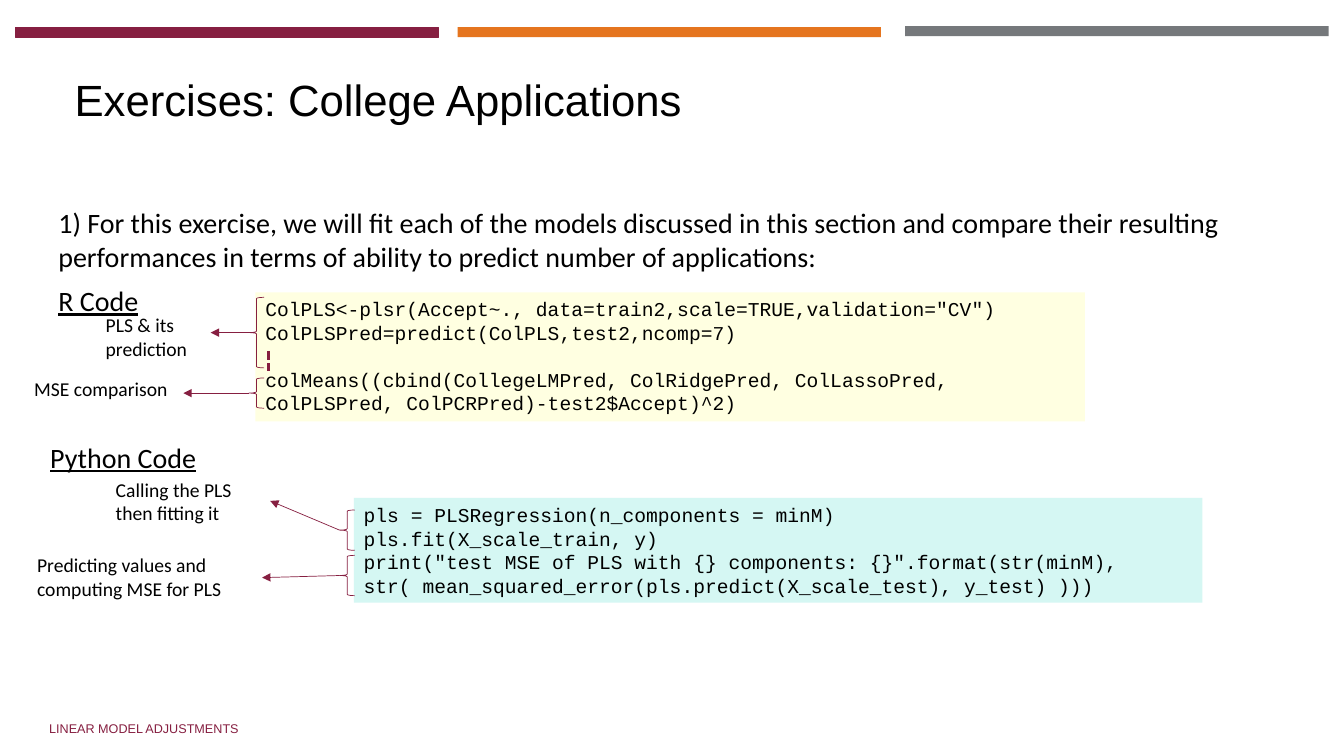
from dataclasses import dataclass

from lxml import etree
from pptx import Presentation
from pptx import util as u
from pptx.dml.color import RGBColor
from pptx.enum import dml, shapes, text
from pptx.oxml.ns import qn

MAROON, ORANGE, GREY, BLACK = "861F41", "E5751F", "75787B", "000000"
ANCHOR = text.MSO_ANCHOR


@dataclass
class Bar:
    left: float
    top: float
    color: str


@dataclass
class Label:
    left: float
    top: float
    width: float
    height: float
    words: str
    size: float = 14
    font: str = "Calibri"
    color: str = BLACK
    underline: bool = False
    anchor: ANCHOR = ANCHOR.TOP
    line_spacing: float = 1.0
    space_after: float = 0


@dataclass
class CodeBlock:
    left: float
    top: float
    width: float
    height: float
    fill: str
    lines: list[str]
    gap_line: int = -1


@dataclass
class Brace:
    left: float
    top: float
    height: float


@dataclass
class Line:
    x1: float
    y1: float
    x2: float
    y2: float
    width: float = 0.5
    dotted: bool = False


BARS = [Bar(10.8, 19.4, MAROON), Bar(326.9, 19.4, ORANGE), Bar(646.6, 18.7, GREY)]

HEADING = dict(size=20, underline=True, anchor=ANCHOR.MIDDLE, line_spacing=1.5, space_after=12)
LABELS = [
    Label(34.6, 143.3, 890.6, 55.4,
          "1) For this exercise, we will fit each of the models discussed in this section and compare "
          "their resulting performances in terms of ability to predict number of applications:",
          size=20, space_after=12),
    Label(34.6, 188.6, 159.8, 40.3, "R Code", **HEADING),
    Label(28.8, 301, 159.8, 38.9, "Python Code", **HEADING),
    Label(68.4, 220.3, 82.8, 41, "PLS & its prediction"),
    Label(17.3, 265.7, 172, 24.5, "MSE comparison"),
    Label(75.6, 337.7, 117.4, 41, "Calling the PLS then fitting it"),
    Label(19.4, 391.7, 167, 41, "Predicting values and computing MSE for PLS"),
    Label(28.1, 506.2, 537.1, 28.8, "LINEAR MODEL ADJUSTMENTS",
          size=9, font="Arial", color=MAROON, anchor=ANCHOR.MIDDLE),
]

CODE_BLOCKS = [
    CodeBlock(182.4, 208.8, 592.6, 92.2, "FFFFE1", [
        'ColPLS<-plsr(Accept~., data=train2,scale=TRUE,validation="CV")',
        "ColPLSPred=predict(ColPLS,test2,ncomp=7)",
        "colMeans((cbind(CollegeLMPred, ColRidgePred, ColLassoPred, "
        "ColPLSPred, ColPCRPred)-test2$Accept)^2)",
    ], gap_line=2),
    CodeBlock(252.7, 355.7, 606.2, 74.9, "D5F7F3", [
        "pls = PLSRegression(n_components = minM)",
        "pls.fit(X_scale_train, y)",
        'print("test MSE of PLS with {} components: {}".format(str(minM),\n'
        "str( mean_squared_error(pls.predict(X_scale_test), y_test) )))",
    ]),
]

BRACES = [Brace(177.8, 212.4, 50.4), Brace(177.8, 270, 21.6),
          Brace(242.6, 364.3, 28.8), Brace(242.6, 396.7, 28.8)]

LINES = [
    Line(177.8, 237.6, 150.5, 237.6),
    Line(177.8, 280.8, 131, 280.8),
    Line(242.6, 378.7, 193, 357.8),
    Line(242.6, 411.1, 187.2, 412.6),
    Line(191.5, 250.6, 191.5, 265, width=2.25, dotted=True),
]


def rgb(color: str) -> RGBColor:
    return RGBColor.from_string(color)


def place(*lengths: float) -> list[u.Length]:
    return [u.Pt(length) for length in lengths]


def add_span(para, words: str, size: float, font: str, color: str, underline: bool = False) -> None:
    span = para.add_run()
    span.text = words
    span.font.size = u.Pt(size)
    span.font.name = font
    span.font.color.rgb = rgb(color)
    if underline:
        span.font.underline = True


def add_block(page, kind, area: list[u.Length], fill: str):
    block = page.shapes.add_shape(kind, *area)
    block.shadow.inherit = False
    block.fill.solid()
    block.fill.fore_color.rgb = rgb(fill)
    block.line.fill.background()
    return block


def draw_bar(page, bar: Bar) -> None:
    block = add_block(page, shapes.MSO_SHAPE.RECTANGLE, place(bar.left, bar.top, 302.4, 7.2), bar.color)
    if bar.color == MAROON:
        block.line.color.rgb = rgb(MAROON)
        block.line.width = u.Pt(0.75)


def draw_label(page, label: Label) -> None:
    box = page.shapes.add_textbox(*place(label.left, label.top, label.width, label.height))
    frame = box.text_frame
    frame.word_wrap = True
    frame.vertical_anchor = label.anchor
    para = frame.paragraphs[0]
    para.line_spacing = label.line_spacing
    para.space_after = u.Pt(label.space_after)
    add_span(para, label.words, label.size, label.font, label.color, label.underline)


def draw_code(page, code: CodeBlock) -> None:
    area = place(code.left, code.top, code.width, code.height)
    frame = add_block(page, shapes.MSO_SHAPE.RECTANGLE, area, code.fill).text_frame
    frame.word_wrap = True
    frame.vertical_anchor = ANCHOR.TOP
    for index, line in enumerate(code.lines):
        para = frame.add_paragraph() if index else frame.paragraphs[0]
        para.alignment = text.PP_ALIGN.LEFT
        if index == code.gap_line:
            para.space_before = u.Pt(16.5)
        for part_index, part in enumerate(line.split("\n")):
            if part_index:
                para.add_line_break()
            add_span(para, part, 14, "Courier New", BLACK)


def draw_brace(page, brace: Brace) -> None:
    area = place(brace.left, brace.top, 10.8, brace.height)
    shape = page.shapes.add_shape(shapes.MSO_SHAPE.LEFT_BRACE, *area)
    shape.shadow.inherit = False
    shape.fill.background()
    shape.line.color.rgb = rgb(MAROON)
    shape.line.width = u.Pt(0.5)


def draw_line(page, line: Line) -> None:
    ends = place(line.x1, line.y1, line.x2, line.y2)
    connector = page.shapes.add_connector(shapes.MSO_CONNECTOR.STRAIGHT, *ends)
    connector.line.color.rgb = rgb(MAROON)
    connector.line.width = u.Pt(line.width)
    if line.dotted:
        connector.line.dash_style = dml.MSO_LINE.SQUARE_DOT
    else:
        etree.SubElement(connector.line._get_or_add_ln(), qn("a:tailEnd"), type="triangle")
    etree.SubElement(connector._element.spPr, qn("a:effectLst"))


def draw_title(page, words: str) -> None:
    title = page.shapes.title
    title.left, title.top, title.width, title.height = place(46.1, 49, 868.3, 43.9)
    title.text_frame.vertical_anchor = ANCHOR.BOTTOM
    para = title.text_frame.paragraphs[0]
    para.alignment = text.PP_ALIGN.LEFT
    add_span(para, words, 31.2, "Arial", BLACK)


def main() -> None:
    deck = Presentation()
    deck.slide_width, deck.slide_height = place(960, 540)
    page = deck.slides.add_slide(deck.slide_layouts[5])
    draw_title(page, "Exercises: College Applications")
    for draw, items in ((draw_bar, BARS), (draw_code, CODE_BLOCKS), (draw_label, LABELS),
                        (draw_brace, BRACES), (draw_line, LINES)):
        for item in items:
            draw(page, item)
    deck.save("out.pptx")


if __name__ == "__main__":
    main()
